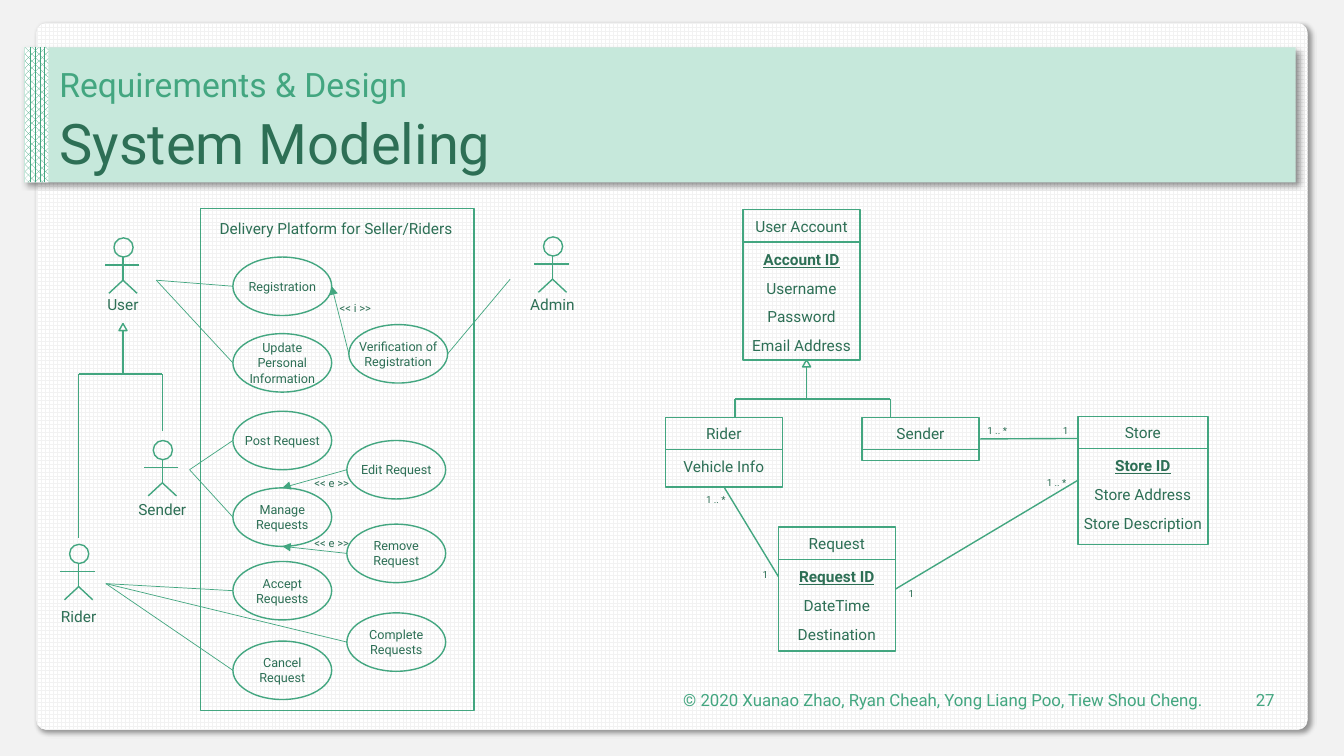
from lxml import etree
from pptx import Presentation
from pptx.dml.color import RGBColor
from pptx.enum.dml import MSO_PATTERN
from pptx.enum.shapes import MSO_CONNECTOR, MSO_SHAPE
from pptx.enum.text import MSO_ANCHOR, PP_ALIGN
from pptx.oxml import parse_xml
from pptx.oxml.ns import nsdecls, qn
from pptx.util import Inches, Pt

RECT, OVAL = MSO_SHAPE.RECTANGLE, MSO_SHAPE.OVAL
ROUND, TRIANGLE = MSO_SHAPE.ROUNDED_RECTANGLE, MSO_SHAPE.ISOSCELES_TRIANGLE
STRAIGHT = MSO_CONNECTOR.STRAIGHT
LEFT, CENTER, RIGHT = PP_ALIGN.LEFT, PP_ALIGN.CENTER, PP_ALIGN.RIGHT
TOP, MIDDLE, BOTTOM = MSO_ANCHOR.TOP, MSO_ANCHOR.MIDDLE, MSO_ANCHOR.BOTTOM
GRID, DENSE = MSO_PATTERN.LARGE_GRID, MSO_PATTERN.PERCENT_70

THEME = {
    "font": "Roboto",
    "green": RGBColor.from_string("43A680"),
    "dark": RGBColor.from_string("2D6F55"),
    "mint": RGBColor.from_string("C6E8DB"),
    "gray": RGBColor.from_string("F2F2F2"),
    "white": RGBColor.from_string("FFFFFF"),
    "title": 40, "section": 24, "footer": 12, "label": 11,
    "case": 9, "stereotype": 8, "count": 7,
}

deck = Presentation()
deck.slide_width, deck.slide_height = Inches(13.33), Inches(7.5)
page = deck.slides.add_slide(deck.slide_layouts[6])
page.background.fill.solid()
page.background.fill.fore_color.rgb = THEME["gray"]


def draw(kind, at, text="", size="label", color="dark", align=CENTER,
         anchor=TOP, inset=0, wrap=True, key=False):
    place = [Inches(value) for value in at]
    if kind is None:
        box = page.shapes.add_textbox(*place)
    else:
        box = page.shapes.add_shape(kind, *place)
        box.shadow.inherit = False
        box.fill.background()
        box.line.color.rgb = THEME["green"]
        box.line.width = Pt(1)
    if text:
        frame = box.text_frame
        frame.word_wrap = wrap
        frame.vertical_anchor = anchor
        frame.margin_left = frame.margin_right = Inches(inset)
        para = frame.paragraphs[0]
        para.text = text
        para.alignment = align
        style = {"name": THEME["font"], "size": Pt(THEME[size]), "bold": key, "underline": key}
        for span in para.runs:
            for name, value in style.items():
                setattr(span.font, name, value)
            span.font.color.rgb = THEME[color]
    return box


def link(start, end, width=1, arrow=False):
    line = page.shapes.add_connector(STRAIGHT, *[Inches(value) for value in (*start, *end)])
    line.line.color.rgb = THEME["green"]
    line.line.width = Pt(width)
    properties = line._element.spPr
    if arrow:
        etree.SubElement(properties.find(qn("a:ln")), qn("a:tailEnd"), type="triangle")
    etree.SubElement(properties, qn("a:effectLst"))
    return line


card = draw(ROUND, (0.36, 0.23, 12.61, 7.01))
card.adjustments[0] = 0.014
banner = draw(RECT, (0.24, 0.47, 12.61, 1.34))
banner.fill.solid()
banner.fill.fore_color.rgb = THEME["mint"]
strip = draw(RECT, (0.25, 0.47, 0.23, 1.34))
for panel, pattern, ink in ((card, GRID, "gray"), (strip, DENSE, "green")):
    panel.fill.patterned()
    panel.fill.pattern = pattern
    panel.fill.fore_color.rgb = THEME[ink]
    panel.fill.back_color.rgb = THEME["white"]
for panel in (card, banner, strip):
    panel.line.fill.background()
for panel in (card, banner):
    panel._element.spPr.find(qn("a:effectLst")).append(parse_xml(
        f'<a:outerShdw {nsdecls("a")} blurRad="50800" dist="38100" dir="2700000" '
        'algn="tl" rotWithShape="0"><a:srgbClr val="000000"><a:alpha val="40000"/>'
        '</a:srgbClr></a:outerShdw>'))

for top, height, text, size, color in (
    (0.54, 0.55, "Requirements & Design", "section", "green"),
    (1.09, 0.71, "System Modeling", "title", "dark"),
):
    heading = draw(None, (0.49, top, 12.35, height), text, size, color, LEFT, BOTTOM, 0.1)
    heading.text_frame.paragraphs[0].line_spacing = 0.9

for left, width, text in (
    (5.44, 6.59, "© 2020 Xuanao Zhao, Ryan Cheah, Yong Liang Poo, Tiew Shou Cheng."),
    (12.15, 0.59, "27"),
):
    draw(None, (left, 6.74, width, 0.4), text, "footer", "green", RIGHT, MIDDLE, 0.1)

for name, x, top, label_top in (
    ("User", 1.22, 2.36, 2.88), ("Sender", 1.61, 4.37, 4.91),
    ("Rider", 0.78, 5.4, 5.97), ("Admin", 5.48, 2.35, 2.88),
):
    draw(OVAL, (x - 0.09, top, 0.19, 0.19))
    hip = (x, top + 0.42)
    link((x, top + 0.19), hip)
    link((x + 0.16, top + 0.27), (x - 0.18, top + 0.27))
    for side in (-0.14, 0.14):
        link(hip, (x + side, top + 0.55))
    draw(None, (x - 0.4, label_top, 0.8, 0.29), name)

draw(RECT, (1.99, 2.07, 2.71, 4.98))
draw(None, (2.08, 2.12, 2.52, 0.29), "Delivery Platform for Seller/Riders", align=LEFT, inset=0.1)

for left, top, text in (
    (2.31, 2.55, "Registration"), (2.31, 3.31, "Update\nPersonal\nInformation"),
    (2.31, 4.08, "Post Request"), (2.31, 4.84, "Manage\nRequests"),
    (2.31, 5.57, "Accept\nRequests"), (3.44, 6.08, "Complete\nRequests"),
    (2.31, 6.36, "Cancel\nRequest"), (3.44, 5.2, "Remove\nRequest"),
    (3.44, 4.37, "Edit Request"), (3.46, 3.22, "Verification of\nRegistration"),
):
    draw(OVAL, (left, top, 0.98, 0.58), text, "case", anchor=MIDDLE, wrap=False)

for start, end, left, top, text in (
    ((3.44, 4.66), (2.8, 4.84), 3.02, 4.68, "<< e >>"),
    ((3.44, 5.49), (2.8, 5.42), 3.02, 5.27, "<< e >>"),
    ((3.46, 3.51), (3.29, 2.84), 3.27, 2.94, "<< i >>"),
):
    link(start, end, 0.5, True)
    draw(None, (left, top, 0.61, 0.24), text, "stereotype", align=LEFT, inset=0.1)

for hand, cases in (
    ((5.06, 2.77), [(4.44, 3.51)]),
    ((1.55, 2.78), [(2.31, 2.84), (2.31, 3.6)]),
    ((1.88, 4.66), [(2.31, 4.37), (2.31, 5.13)]),
    ((1.05, 5.79), [(2.31, 5.86), (3.44, 6.37), (2.31, 6.65)]),
):
    for case in cases:
        link(case, hand, 0.5)

classes = {}
for name, left, top, width, height, fields in (
    ("User Account", 7.37, 2.08, 1.16, 1.49,
     ["Account ID", "Username", "Password", "Email Address"]),
    ("Rider", 6.6, 4.14, 1.16, 0.69, ["Vehicle Info"]),
    ("Sender", 8.55, 4.14, 1.16, 0.43, []),
    ("Store", 10.69, 4.13, 1.29, 1.27, ["Store ID", "Store Address", "Store Description"]),
    ("Request", 7.72, 5.23, 1.16, 1.23, ["Request ID", "DateTime", "Destination"]),
):
    classes[name] = draw(RECT, (left, top, width, height))
    link((left, top + 0.32), (left + width, top + 0.32))
    draw(None, (left, top + 0.02, width, 0.29), name)
    for row, field in enumerate(fields):
        draw(None, (left, top + 0.35 + 0.285 * row, width, 0.29), field, key=field.endswith(" ID"))

for bar, stem, tip, branches in (
    (3.96, 8, 3.57, [(7.29, 4.14), (8.83, 4.14)]),
    (3.71, 1.22, 3.21, [(0.78, 5.34), (1.61, 4.28)]),
):
    for x, bottom in branches:
        link((x, bottom), (x, bar))
    link((branches[0][0], bar), (branches[1][0], bar))
    link((stem, bar), (stem, tip + 0.07))
    draw(TRIANGLE, (stem - 0.04, tip, 0.08, 0.07))

sender_store = link((9.71, 4.35), (10.69, 4.35))
sender_store.begin_connect(classes["Sender"], 3)
request_store = link((8.88, 5.85), (10.69, 4.77))
request_store.begin_connect(classes["Request"], 3)
request_store.end_connect(classes["Store"], 1)
request_rider = link((7.72, 5.72), (7.18, 4.83))
request_rider.end_connect(classes["Rider"], 2)

for left, top, text in (
    (9.67, 4.16, "1 .. *"), (10.35, 4.16, "1"), (8.82, 5.78, "1"),
    (10.26, 4.68, "1 .. *"), (6.88, 4.85, "1 .. *"), (7.37, 5.59, "1"),
):
    draw(None, (left, top, 0.44, 0.22), text, "count")

deck.save("out.pptx")
